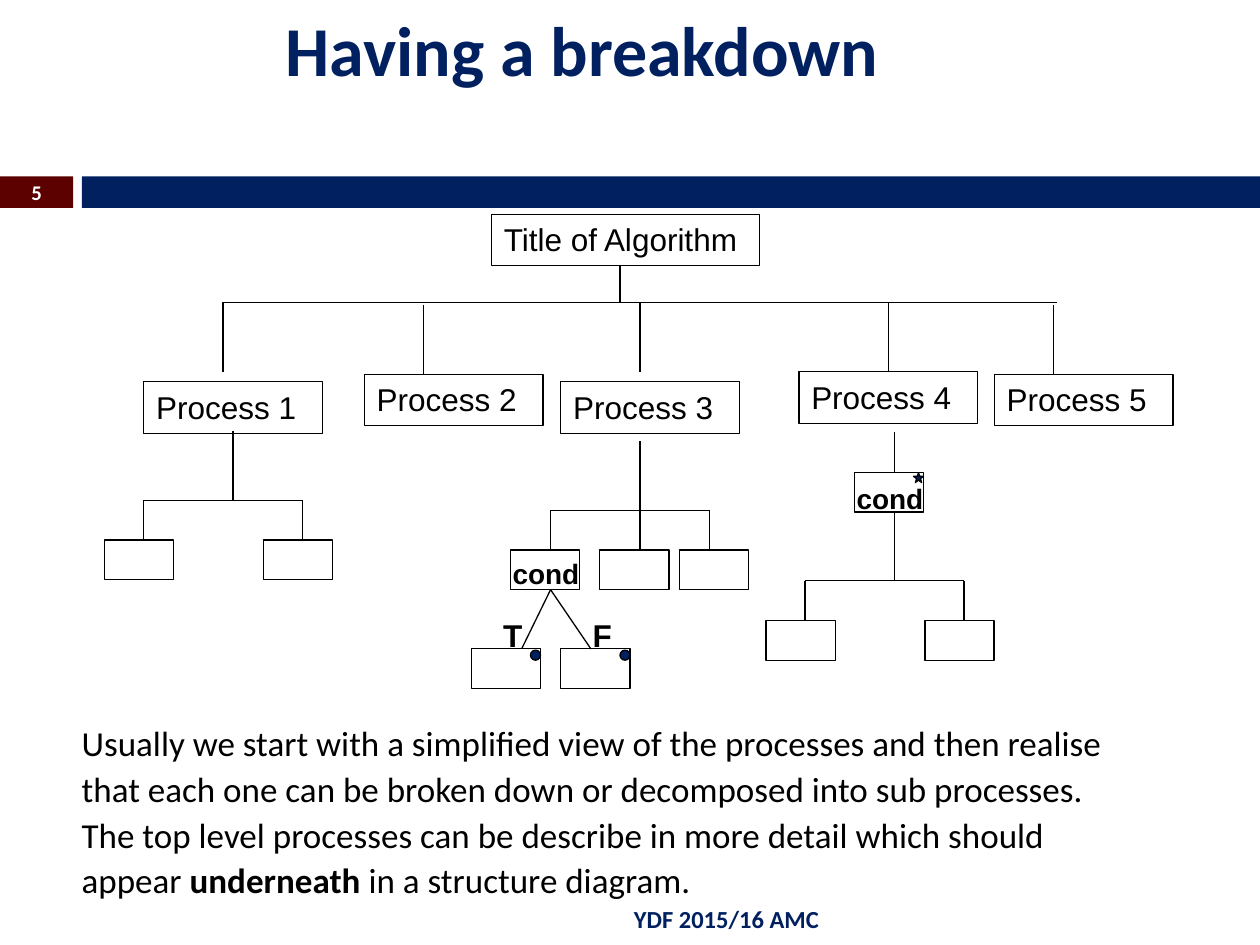
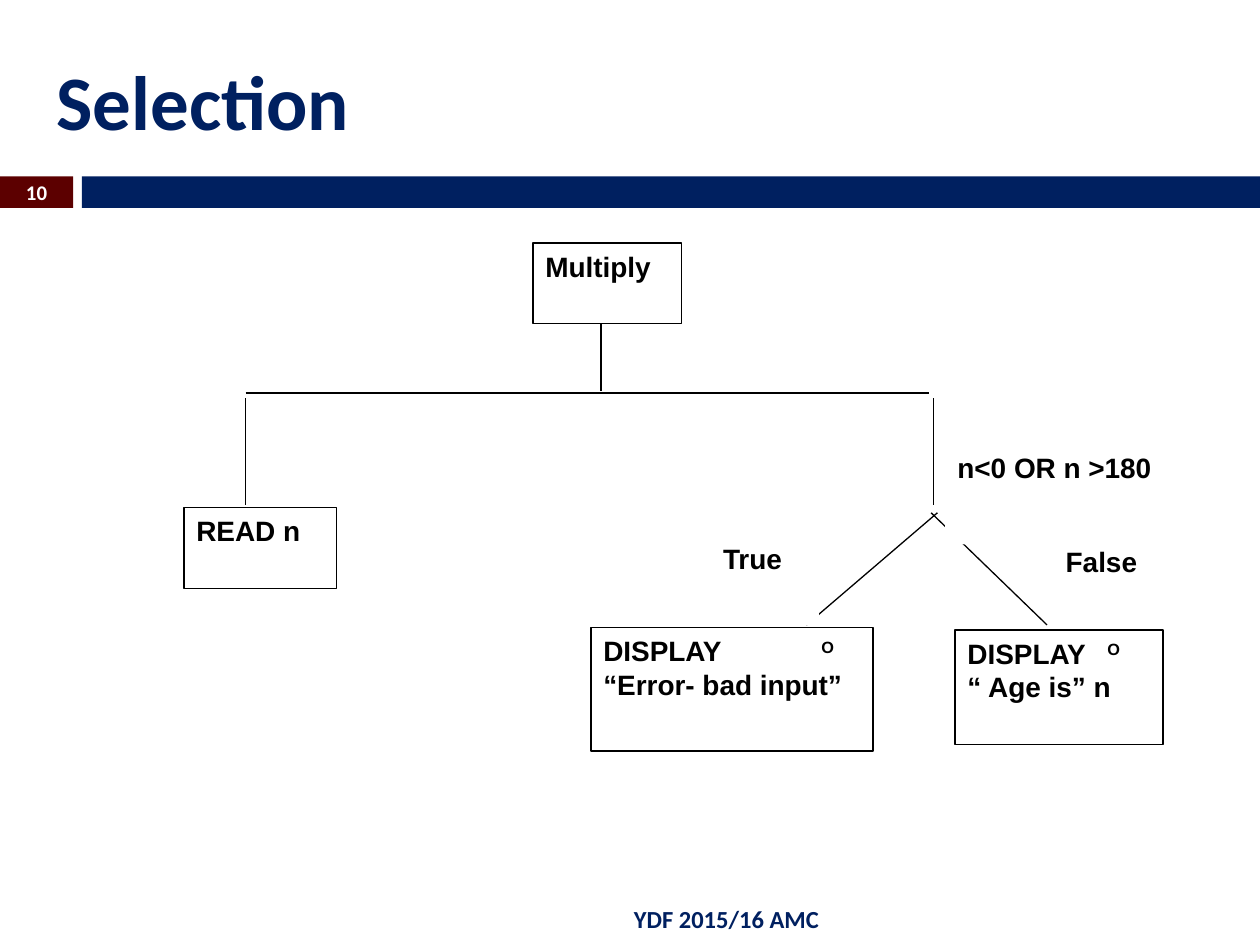
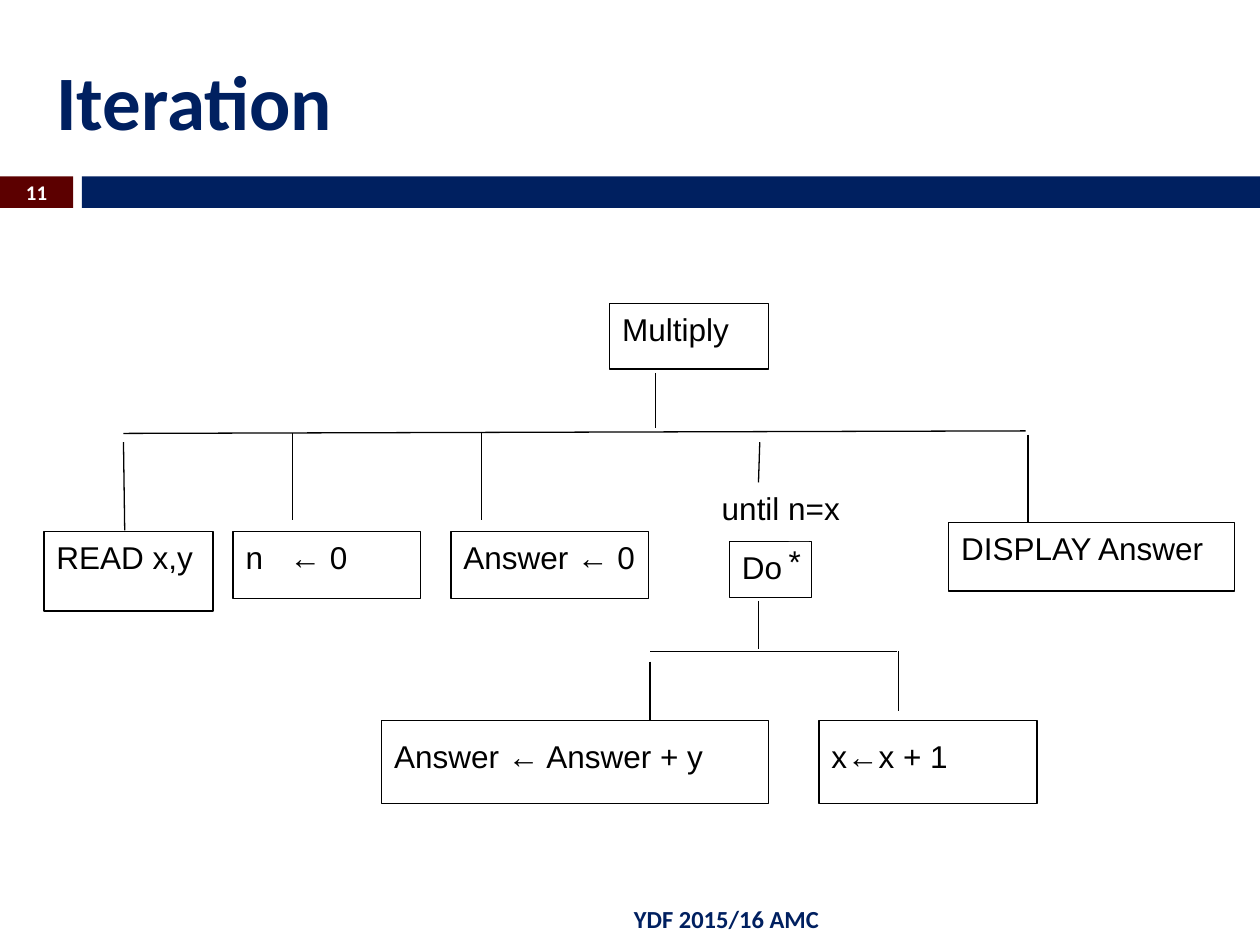
from dataclasses import dataclass
from typing import Any

from lxml import etree
from pptx import Presentation
from pptx.dml.color import RGBColor
from pptx.enum.shapes import MSO_CONNECTOR, MSO_SHAPE
from pptx.enum.text import MSO_ANCHOR, PP_ALIGN
from pptx.oxml.ns import qn
from pptx.util import Emu, Inches, Pt

NAVY = RGBColor(0x00, 0x20, 0x60)
MAROON = RGBColor(0x5C, 0x00, 0x00)
BLACK = RGBColor(0x00, 0x00, 0x00)
WHITE = RGBColor(0xFF, 0xFF, 0xFF)

RECT, OVAL, STAR = MSO_SHAPE.RECTANGLE, MSO_SHAPE.OVAL, MSO_SHAPE.STAR_5_POINT
STRAIGHT = MSO_CONNECTOR.STRAIGHT
TOP, MIDDLE = MSO_ANCHOR.TOP, MSO_ANCHOR.MIDDLE
LEFT, CENTER, RIGHT = PP_ALIGN.LEFT, PP_ALIGN.CENTER, PP_ALIGN.RIGHT

HEADING_FONT, DIAGRAM_FONT = "Calibri", "Arial"
COLUMNS, ROWS = 100, 75
CELL = Inches(0.1)
HAIRLINE = Pt(0.75)
INSETS = (1, 0.5, 1, 0.5)
LEAF_WIDTH, LEAF_HEIGHT = 5.5, 3.15
BAR_WIDTH, TRUNK_OFFSET, DROP = 12.6, 7.1, 5.5


@dataclass
class TextStyle:
    """Character and paragraph look of one text."""
    size: float
    font: str = DIAGRAM_FONT
    color: RGBColor = BLACK
    bold: bool = False
    align: Any = LEFT
    anchor: Any = TOP
    insets: tuple = INSETS
    tab: float = 0
    line_spacing: float = 0
    space_before: float = 0


PLAIN = TextStyle(18)
BOLD = TextStyle(16, bold=True)
BRANCH_MARK = TextStyle(18, bold=True)
BODY = TextStyle(20, HEADING_FONT, line_spacing=0.8, space_before=7)
FOOTER = TextStyle(14, HEADING_FONT, NAVY, True, RIGHT, MIDDLE)
NUMBER = TextStyle(11.9, HEADING_FONT, WHITE, True, CENTER, MIDDLE)


def cells(*counts):
    """Turn counts of grid cells into lengths."""
    return [Emu(round(count * CELL)) for count in counts]


def add_tab(paragraph, position):
    """Give a paragraph one left tab stop."""
    stops = etree.Element(qn("a:tabLst"))
    etree.SubElement(stops, qn("a:tab"), pos=str(cells(position)[0]), algn="l")
    paragraph._p.get_or_add_pPr().insert(0, stops)


def write(frame, paragraphs, style):
    """Fill a text frame; a paragraph is a string or a list of (text, kind) runs."""
    frame.word_wrap = True
    frame.vertical_anchor = style.anchor
    (frame.margin_left, frame.margin_top,
     frame.margin_right, frame.margin_bottom) = cells(*style.insets)
    for index, content in enumerate(paragraphs):
        paragraph = frame.add_paragraph() if index else frame.paragraphs[0]
        paragraph.alignment = style.align
        font = paragraph.font
        font.name, font.size, font.bold = style.font, Pt(style.size), style.bold
        font.color.rgb = style.color
        if style.tab:
            add_tab(paragraph, style.tab)
        if style.line_spacing:
            paragraph.line_spacing = style.line_spacing
            paragraph.space_before = Pt(style.space_before)
        for text, kind in [(content, "")] if isinstance(content, str) else content:
            run = paragraph.add_run()
            run.text = text
            if kind == "bold":
                run.font.bold = True
            elif kind == "superscript":
                run._r.get_or_add_rPr().set("baseline", "30000")


@dataclass
class Region:
    """A box on the slide's grid whose contents are placed from its top left corner."""
    shapes: Any
    left: float = 0
    top: float = 0
    width: float = COLUMNS
    height: float = ROWS

    def inner(self, left, top, width, height):
        """Return a smaller box within this one."""
        return Region(self.shapes, self.left + left, self.top + top, width, height)

    def shape(self, left, top, width, height, kind=RECT, fill=None, outline=BLACK):
        """Draw a preset shape."""
        drawn = self.shapes.add_shape(
            kind, *cells(self.left + left, self.top + top, width, height))
        drawn.shadow.inherit = False
        if fill is None:
            drawn.fill.background()
        else:
            drawn.fill.solid()
            drawn.fill.fore_color.rgb = fill
        if outline is None:
            drawn.line.fill.background()
        else:
            drawn.line.color.rgb = outline
            drawn.line.width = HAIRLINE
        return drawn

    def box(self, left, top, width, height, paragraphs, style=PLAIN, **look):
        """Draw a rectangle with text."""
        drawn = self.shape(left, top, width, height, **look)
        write(drawn.text_frame, paragraphs, style)

    def text(self, left, top, width, height, paragraphs, style):
        """Place a text without a frame."""
        placed = self.shapes.add_textbox(
            *cells(self.left + left, self.top + top, width, height))
        write(placed.text_frame, paragraphs, style)

    def line(self, x1, y1, x2, y2):
        """Draw a thin straight line."""
        drawn = self.shapes.add_connector(
            STRAIGHT, *cells(self.left + x1, self.top + y1, self.left + x2, self.top + y2))
        drawn.line.color.rgb = BLACK
        drawn.line.width = HAIRLINE
        etree.SubElement(drawn._element.spPr, qn("a:effectLst"))


def band(region, number):
    """Draw the numbered band across the slide."""
    number_width, gap = 5.8, 0.7
    bar_left = number_width + gap
    region.shape(0, 0, number_width, region.height, fill=MAROON, outline=None)
    region.shape(bar_left, 0, region.width - bar_left, region.height,
                 fill=NAVY, outline=None)
    region.text(0, -0.1, number_width, region.height + 0.2, [str(number)], NUMBER)


def start_slide(deck, title, number, title_box=(3.5, 2.5, 93.7, 10.8), title_size=44):
    """Add a slide with title, band and footer, and return its full region."""
    page = Region(deck.slides.add_slide(deck.slide_layouts[6]).shapes)
    band(page.inner(0, 14, COLUMNS, 2.5), number)
    page.text(*title_box, [title],
              TextStyle(title_size, HEADING_FONT, NAVY, True, anchor=MIDDLE))
    page.text(6.7, 70.9, 59.3, 4, ["YDF 2015/16 AMC"], FOOTER)
    return page


def subprocesses(region, leaves):
    """Draw a trunk, a bar and leaf boxes given as (stem, box left)."""
    leaf_top = DROP + LEAF_HEIGHT
    region.line(TRUNK_OFFSET, 0, TRUNK_OFFSET, DROP)
    region.line(0, DROP, region.width, DROP)
    for stem, left in leaves:
        region.line(stem, DROP, stem, leaf_top)
        region.shape(left, leaf_top, LEAF_WIDTH, LEAF_HEIGHT)


def condition(region):
    """Draw the true and false outcomes beneath a condition."""
    region.text(2.3, -3.1, 8.6, 3.7, ["cond"], BOLD)
    outcome_top = 4.7
    for mark, left, stem in (("T", 0, 4), ("F", 7.1, 9.5)):
        region.shape(left, outcome_top, LEAF_WIDTH, LEAF_HEIGHT)
        region.line(6.3, 0, stem, outcome_top)
        region.shape(left + LEAF_WIDTH - 0.8, outcome_top + 0.1, 0.8, 0.8, OVAL, NAVY)
        region.text(left + 1.55, 1.6, 2.3, 4, [mark], BRANCH_MARK)


def loop(region):
    """Draw a starred condition that repeats two subprocesses."""
    region.line(3.2, 0, 3.2, 3.2)
    region.shape(0, 3.2, LEAF_WIDTH, LEAF_HEIGHT)
    region.shape(LEAF_WIDTH - 0.8, 3.2, 0.8, 0.8, STAR, NAVY)
    region.text(-0.8, 3.4, 8.6, 3.7, ["cond"], BOLD)
    subprocesses(region.inner(-3.9, 6.3, BAR_WIDTH, 12),
                 ((0, -3.1), (BAR_WIDTH, 9.5)))


def structure_diagram(region):
    """Draw the algorithm, its five processes and their subprocesses."""
    region.box(30.7, 0, 21.3, 4.1, ["Title of Algorithm"])
    region.line(40.9, 4, 40.9, 7)
    region.line(9.4, 7, 75.6, 7)
    processes = ((3.1, 13.3, 9.4, 7), (20.6, 12.7, 25.3, 7.2), (36.2, 13.3, 42.5, 7),
                 (55.1, 12.5, 62.2, 7), (70.6, 12.7, 75.3, 7.2))
    for number, (left, top, stem, stem_top) in enumerate(processes, 1):
        region.box(left, top, 14.2, 4.1, [f"Process {number}"])
        region.line(stem, stem_top, stem, stem_top + DROP)
    subprocesses(region.inner(3.1, 17.2, BAR_WIDTH, 12),
                 ((0, -3.1), (BAR_WIDTH, 9.5)))
    subprocesses(region.inner(35.4, 18, BAR_WIDTH, 12),
                 ((0, -3.2), (TRUNK_OFFSET, 3.9), (BAR_WIDTH, 10.2)))
    condition(region.inner(29.1, 29.8, 13, 8))
    loop(region.inner(59.5, 17.3, 13, 18))


def selection_diagram(region):
    """Draw a reading step and a choice between two displays."""
    for ends in ((33.1, 6.3, 33.1, 11.7), (4.9, 11.9, 59.1, 11.9),
                 (4.9, 12.3, 4.9, 20.8), (59.5, 12.3, 59.5, 20.8),
                 (59.8, 21.4, 49.4, 30.3), (59.3, 21.4, 68.5, 30.3)):
        region.line(*ends)
    for left, top, width, text in ((27.7, 0, 11.8, "Multiply"), (0, 21, 12.1, "READ n")):
        region.box(left, top, width, 6.4, [text], BOLD, fill=WHITE)
    for left, top, width, height, text in ((60.4, 16, 19.1, 7.9, "n<0 OR n >180"),
                                           (41.8, 23.2, 8.6, 7.1, "True"),
                                           (69, 23.4, 8.6, 7.1, "False")):
        region.box(left, top, width, height, [text], BOLD, fill=WHITE, outline=None)
    for left, top, width, height, tab, message in (
            (32.3, 30.5, 22.4, 9.8, 17.3, "“Error- bad input”"),
            (61.2, 30.7, 16.5, 9.1, 11.1, "“ Age is” n")):
        region.box(left, top, width, height,
                   [[("DISPLAY\t", ""), ("O", "superscript")], message],
                   TextStyle(16, bold=True, tab=tab), fill=WHITE)


def iteration_diagram(region):
    """Draw the steps of a multiplication with a repeated step."""
    for ends in ((48.5, 5.5, 48.5, 9.9), (6.3, 10.3, 77.9, 10.1),
                 (6.3, 11, 6.4, 18), (19.7, 10.3, 19.7, 17.2),
                 (34.7, 10.3, 34.7, 17.2), (56.7, 14.2, 56.8, 11),
                 (78.1, 10.4, 78.1, 17.4), (56.7, 23.6, 56.7, 27.4),
                 (48.1, 27.6, 67.7, 27.6), (48.1, 28.4, 48.1, 33.1),
                 (67.8, 27.6, 67.8, 32.3)):
        region.line(*ends)
    lowered = TextStyle(18, insets=(1, 1.3, 1, 0.5))
    for left, top, width, height, text, style in (
            (44.9, 0, 12.6, 5.2, "Multiply", PLAIN),
            (0, 18.1, 13.4, 6.3, "READ x,y", PLAIN),
            (15, 18.1, 14.9, 5.3, "n\t← 0", TextStyle(18, tab=3.5)),
            (32.3, 18.1, 15.7, 5.3, "Answer ← 0", PLAIN),
            (54.4, 18.9, 6.5, 4.4, "Do", PLAIN),
            (71.8, 17.4, 22.7, 5.4, "DISPLAY Answer", PLAIN),
            (26.8, 33.1, 30.7, 6.6, "Answer ← Answer + y", lowered),
            (61.5, 33.1, 17.3, 6.6, "x←x + 1", lowered)):
        region.box(left, top, width, height, [text], style, fill=WHITE)
    region.box(59.1, 18.9, 1.6, 2.8, ["*"], TextStyle(18, insets=(0, 0, 0, 0)),
               fill=WHITE, outline=None)
    region.box(52.8, 14.2, 13.4, 4.5, ["until n=x"], fill=WHITE, outline=None)


def main():
    """Build the three slides and save them."""
    deck = Presentation()
    deck.slide_width, deck.slide_height = cells(COLUMNS, ROWS)

    breakdown = start_slide(deck, "Having a breakdown", 5, (21.7, 0, 52.9, 7.7), 40)
    breakdown.text(5.5, 57.4, 90, 17.6, [
        "Usually we start with a simplified view of the processes and then realise",
        "that each one can be broken down or decomposed into sub processes.",
        "The top level processes can be describe in more detail which should",
        [("appear ", ""), ("underneath", "bold"), (" in a structure diagram.", "")],
    ], BODY)
    structure_diagram(breakdown.inner(8.3, 17, 85, 38))

    selection = start_slide(deck, "Selection", 10)
    selection_diagram(selection.inner(14.6, 19.3, 80, 41))

    iteration = start_slide(deck, "Iteration", 11)
    iteration_diagram(iteration.inner(3.5, 24.1, 95, 40))

    deck.save("out.pptx")


main()
